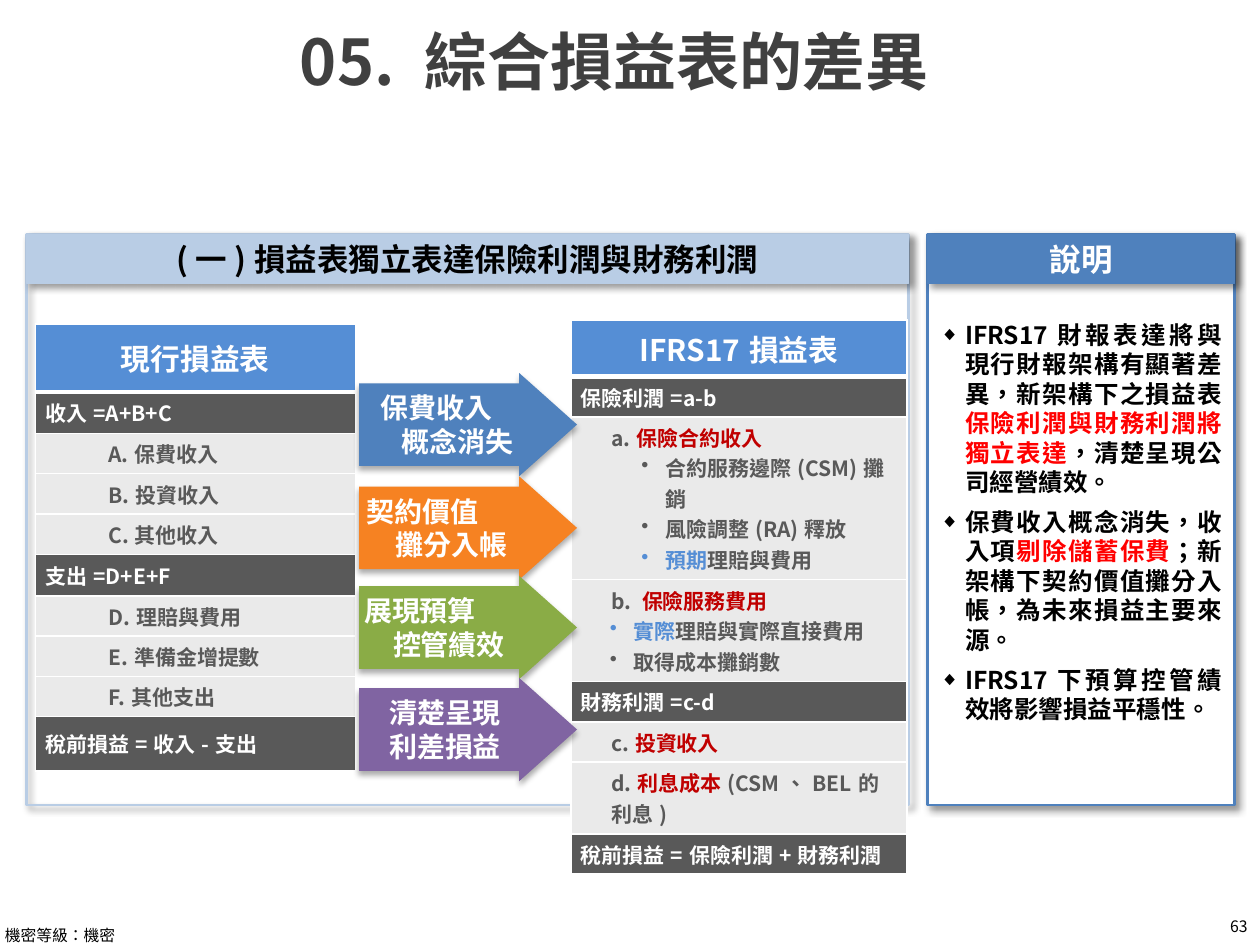
from lxml.etree import SubElement
from pptx import Presentation
from pptx.dml.color import RGBColor
from pptx.enum.shapes import MSO_SHAPE as Shape
from pptx.enum.text import MSO_ANCHOR as Anchor, MSO_AUTO_SIZE as AutoSize, PP_ALIGN as Align
from pptx.oxml.ns import qn
from pptx.util import Inches, Pt

FONT = "Noto Sans CJK SC"
LANGUAGE = "zh-TW"
COLORS = {
    "black": "000000", "white": "FFFFFF", "title": "404040", "gray": "595959",
    "pale": "EAEAEA", "sky": "558ED5", "blue": "4F81BD", "light": "B9CDE5",
    "orange": "F68222", "green": "8AAC46", "purple": "8064A2",
    "red": "FF0000", "crimson": "C00000",
}
PANEL_SHADOW = {"blur": 4, "dist": 3, "angle": 45, "alpha": 40}
ARROW_SHADOW = {"blur": 3.5, "dist": 2.2, "angle": 90, "alpha": 32}

TITLE = "05. 綜合損益表的差異"
FOOTERS = [
    ("63", (9.32, 7.23, 0.68, 0.25), Align.RIGHT),
    ("機密等級：機密", (-0.06, 7.3, 7.42, 0.31), Align.LEFT),
]
HEADINGS = [
    ("(一)損益表獨立表達保險利潤與財務利潤", 0.21, 7, "light", "black"),
    ("說明", 7.36, 2.44, "blue", "white"),
]
NOTES = [
    [("IFRS17財報表達將與現行財報架構有顯著差異，新架構下之損益表", "black"),
     ("保險利潤與財務利潤將獨立表達", "red"), ("，清楚呈現公司經營績效。", "black")],
    [("保費收入概念消失，收入項", "black"), ("剔除儲蓄保費", "red"),
     ("；新架構下契約價值攤分入帳，為未來損益主要來源。", "black")],
    [("IFRS17下預算控管績效將影響損益平穩性。", "black")],
]
ARROWS = [
    ("blue", 2.96, [("保費收入", 0.13), ("概念消失", 0.3)]),
    ("orange", 3.78, [("契約價值", 0.02), ("攤分入帳", 0.25)]),
    ("green", 4.57, [("展現預算", 0), ("控管績效", 0.23)]),
    ("purple", 5.38, [("清楚呈現", 0.2), ("利差損益", 0.2)]),
]


def total(text, height):
    return height, "gray", [(0, None, [(text, "white")])]


def item(text, height=0.32):
    return height, "pale", [(0.5, None, [(text, "gray")])]


def detail(height, *lines):
    return height, "pale", lines


CURRENT = ("現行損益表", (0.28, 2.57, 2.54), 0.54, [
    total("收入=A+B+C", 0.33),
    item("A.保費收入"), item("B.投資收入"), item("C.其他收入"),
    total("支出=D+E+F", 0.33),
    item("D.理賠與費用"), item("E.準備金增提數"), item("F.其他支出"),
    total("稅前損益=收入-支出", 0.43),
])
IFRS17 = ("IFRS17損益表", (4.53, 2.54, 2.67), 0.45, [
    total("保險利潤=a-b", 0.32),
    detail(1.29,
           (0.24, None, [("a.", "gray"), ("保險合約收入", "crimson")]),
           (0.67, "•", [("合約服務邊際(CSM)攤銷", "gray")]),
           (0.67, "•", [("風險調整(RA)釋放", "gray")]),
           (0.67, "•", [("預期", "sky"), ("理賠與費用", "gray")])),
    detail(0.81,
           (0.24, None, [("b. ", "gray"), ("保險服務費用", "crimson")]),
           (0.42, "•", [("實際", "sky"), ("理賠與實際直接費用", "gray")]),
           (0.42, "•", [("取得成本攤銷數", "gray")])),
    total("財務利潤=c-d", 0.32),
    detail(0.32, (0.24, None, [("c.", "gray"), ("投資收入", "crimson")])),
    detail(0.57, (0.24, None, [("d.", "gray"), ("利息成本", "crimson"),
                               ("(CSM、BEL的利息)", "gray")])),
    total("稅前損益=保險利潤+財務利潤", 0.32),
])


def rgb(name):
    return RGBColor.from_string(COLORS[name])


def apply(target, **formats):
    for name, value in formats.items():
        setattr(target, name, value)


def place(shape, *box):
    apply(shape, **dict(zip(("left", "top", "width", "height"), map(Inches, box))))


def write(paragraph, runs, size, bold=True, margin=0, hanging=0, bullet=None,
          bullet_size=100, **formats):
    properties = paragraph._p.get_or_add_pPr()
    properties.set("marL", str(Inches(margin)))
    properties.set("indent", str(Inches(-hanging)))
    if bullet:
        SubElement(properties, qn("a:buSzPct"), val=str(bullet_size * 1000))
        SubElement(properties, qn("a:buChar"), char=bullet)
    else:
        SubElement(properties, qn("a:buNone"))
    apply(paragraph, **formats)
    for text, color in runs:
        run = paragraph.add_run()
        run.text = text
        apply(run.font, size=Pt(size), bold=bold, name=FONT)
        run.font.color.rgb = rgb(color)
        run_properties = run._r.get_or_add_rPr()
        run_properties.set("lang", LANGUAGE)
        SubElement(run_properties, qn("a:ea"), typeface=FONT)


def paragraphs(frame, count):
    return [frame.paragraphs[0]] + [frame.add_paragraph() for _ in range(count - 1)]


def style(shape, fill=None, line=None, width=0.75, shadow=None):
    if fill:
        shape.fill.solid()
        shape.fill.fore_color.rgb = rgb(fill)
    else:
        shape.fill.background()
    if line:
        shape.line.color.rgb = rgb(line)
        shape.line.width = Pt(width)
    else:
        shape.line.fill.background()
    shape.shadow.inherit = False
    effects = shape._element.spPr.find(qn("a:effectLst"))
    outer = SubElement(effects, qn("a:outerShdw"), blurRad=str(Pt(shadow["blur"])),
                       dist=str(Pt(shadow["dist"])), dir=str(shadow["angle"] * 60000),
                       algn="tl", rotWithShape="0")
    tint = SubElement(outer, qn("a:srgbClr"), val=COLORS["black"])
    SubElement(tint, qn("a:alpha"), val=str(shadow["alpha"] * 1000))


def border(cell, bottom):
    properties = cell._tc.get_or_add_tcPr()
    for index, (side, width) in enumerate({"L": 1, "R": 1, "T": 1, "B": bottom}.items()):
        edge = properties.makeelement(qn(f"a:ln{side}"), {"w": str(Pt(width))})
        fill = SubElement(edge, qn("a:solidFill"))
        SubElement(fill, qn("a:srgbClr"), val=COLORS["white"])
        properties.insert(index, edge)


def add_statement(slide, heading, box, heading_height, rows):
    rows = [(heading_height, "sky", [(0, None, [(heading, "white")])]), *rows]
    height = sum(row[0] for row in rows)
    statement = slide.shapes.add_table(len(rows), 1, *map(Inches, (*box, height))).table
    statement.columns[0].width = Inches(box[2])
    for index, (row_height, fill, lines) in enumerate(rows):
        statement.rows[index].height = Inches(row_height)
        cell = statement.cell(index, 0)
        apply(cell, vertical_anchor=Anchor.MIDDLE,
              margin_left=Inches(0.08), margin_right=Inches(0.08),
              margin_top=Inches(0.04), margin_bottom=Inches(0.04))
        cell.fill.solid()
        cell.fill.fore_color.rgb = rgb(fill)
        border(cell, bottom=1 if index else 3)
        for paragraph, (margin, bullet, runs) in zip(
                paragraphs(cell.text_frame, len(lines)), lines):
            write(paragraph, runs, 12 if index else 17, margin=margin, bullet=bullet,
                  hanging=0.19 if bullet else 0,
                  alignment=Align.LEFT if index else Align.CENTER)


def main():
    deck = Presentation()
    apply(deck, slide_width=Inches(10), slide_height=Inches(7.5))
    slide = deck.slides.add_slide(deck.slide_layouts[1])
    title, notes = slide.placeholders

    place(title, 2.28, 0.18, 7.45, 0.59)
    apply(title.text_frame, vertical_anchor=Anchor.MIDDLE, auto_size=AutoSize.NONE)
    write(title.text_frame.paragraphs[0], [(TITLE, "title")], 36, alignment=Align.LEFT)

    place(notes, 7.36, 1.86, 2.44, 4.53)
    style(notes, "white", "blue", 1.5, PANEL_SHADOW)
    apply(notes.text_frame, margin_top=Inches(0.68), auto_size=AutoSize.NONE)
    for index, (paragraph, runs) in enumerate(
            zip(paragraphs(notes.text_frame, len(NOTES)), NOTES)):
        write(paragraph, runs, 14, margin=0.2, hanging=0.2, bullet="◆", bullet_size=80,
              alignment=Align.JUSTIFY, line_spacing=Pt(16.8),
              space_before=Pt(6 if index else 0))

    for text, box, alignment in FOOTERS:
        footer = slide.shapes.add_textbox(*map(Inches, box)).text_frame
        footer.word_wrap = True
        write(footer.paragraphs[0], [(text, "black")], 9, bold=False, alignment=alignment)

    outline = slide.shapes.add_shape(Shape.RECTANGLE, *map(Inches, (0.21, 1.86, 7, 4.53)))
    style(outline, line="light", width=1.5, shadow=PANEL_SHADOW)
    for text, left, width, fill, color in HEADINGS:
        heading = slide.shapes.add_shape(
            Shape.RECTANGLE, *map(Inches, (left, 1.86, width, 0.39)))
        style(heading, fill, fill, shadow=PANEL_SHADOW)
        apply(heading.text_frame, vertical_anchor=Anchor.MIDDLE, word_wrap=True,
              margin_top=0, margin_bottom=0)
        write(heading.text_frame.paragraphs[0], [(text, color)], 18, alignment=Align.CENTER)

    for statement in (CURRENT, IFRS17):
        add_statement(slide, *statement)

    for fill, top, lines in ARROWS:
        arrow = slide.shapes.add_shape(
            Shape.RIGHT_ARROW, *map(Inches, (2.85, top, 1.73, 0.82)))
        arrow.adjustments[0], arrow.adjustments[1] = 0.8, 0.56
        style(arrow, fill, shadow=ARROW_SHADOW)
        inset = Inches(0.04)
        apply(arrow.text_frame, vertical_anchor=Anchor.MIDDLE, word_wrap=True,
              margin_left=inset, margin_right=inset, margin_top=inset, margin_bottom=inset)
        for paragraph, (text, margin) in zip(
                paragraphs(arrow.text_frame, len(lines)), lines):
            write(paragraph, [(text, "white")], 16, margin=margin,
                  alignment=Align.LEFT, line_spacing=Pt(19.2))

    deck.save("out.pptx")


if __name__ == "__main__":
    main()
